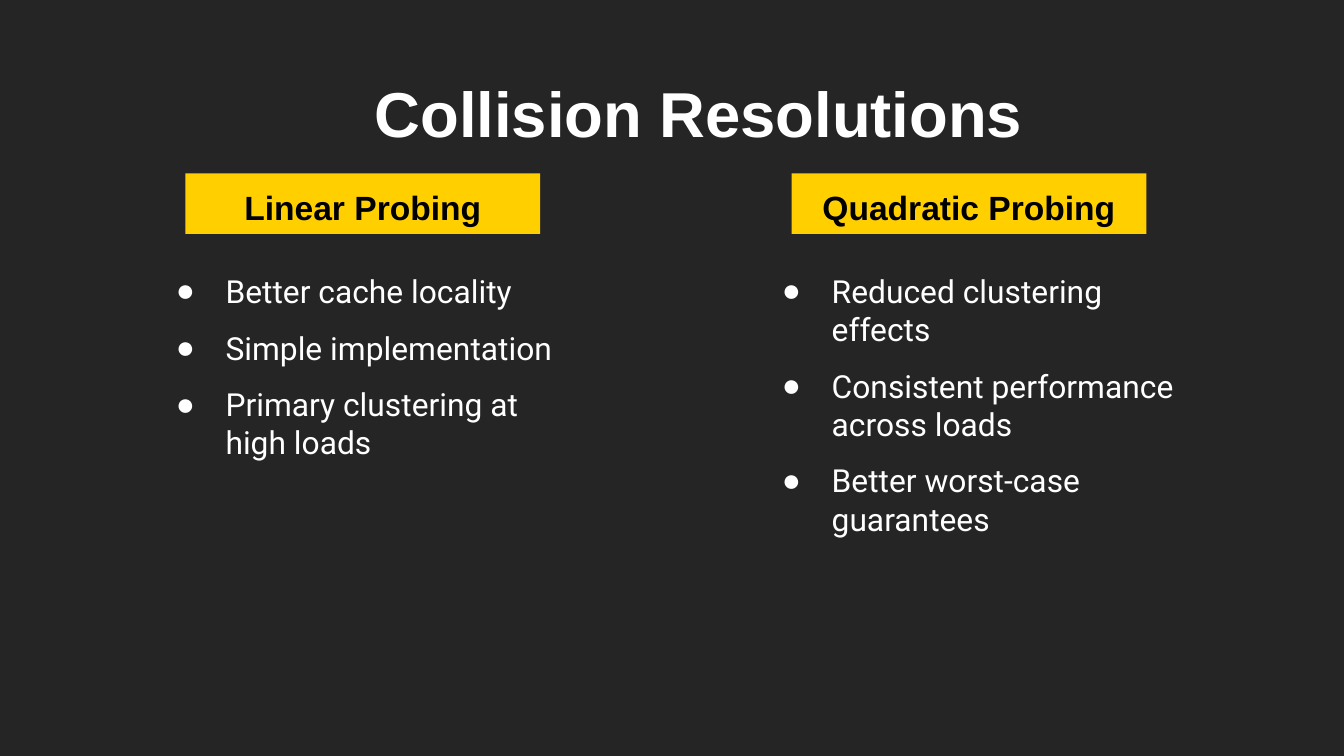
from dataclasses import dataclass

from lxml.etree import SubElement
from pptx import Presentation
from pptx.dml.color import RGBColor
from pptx.enum.shapes import MSO_SHAPE
from pptx.enum.text import MSO_ANCHOR, PP_ALIGN
from pptx.oxml.ns import qn
from pptx.slide import Slide
from pptx.text.text import TextFrame, _Paragraph
from pptx.util import Inches, Pt


@dataclass(frozen=True)
class Theme:
    background: RGBColor = RGBColor(0x25, 0x25, 0x25)
    accent: RGBColor = RGBColor(0xFF, 0xCF, 0x00)
    light: RGBColor = RGBColor(0xFF, 0xFF, 0xFF)
    dark: RGBColor = RGBColor(0, 0, 0)
    heading_font: str = "Arial"
    body_font: str = "Roboto"
    bullet_font: str = "Arial"
    title_size: int = 34
    header_size: int = 18
    body_size: int = 17
    bullet_gap: int = 10


@dataclass(frozen=True)
class Column:
    header: str
    points: tuple[str, ...]


THEME = Theme()
COLUMNS = (
    Column("Linear Probing", (
        "Better cache locality",
        "Simple implementation",
        "Primary clustering at high loads",
    )),
    Column("Quadratic Probing", (
        "Reduced clustering effects",
        "Consistent performance across loads",
        "Better worst-case guarantees",
    )),
)
FIRST_LEFT = 1.08
COLUMN_PITCH = 4.51
HEADER_INSET = 0.3


def prepare_frame(tf: TextFrame) -> None:
    tf.word_wrap = True
    tf.vertical_anchor = MSO_ANCHOR.TOP
    tf.margin_left = tf.margin_right = Inches(0.1)
    tf.margin_top = tf.margin_bottom = Inches(0.1)


def add_run(p: _Paragraph, text: str, font: str, size: int,
            color: RGBColor, bold: bool = False) -> None:
    r = p.add_run()
    r.text = text
    r.font.name = font
    r.font.size = Pt(size)
    r.font.bold = bold
    r.font.color.rgb = color


def add_bullet(p: _Paragraph) -> None:
    pPr = p._p.get_or_add_pPr()
    pPr.set("marL", str(Inches(0.5)))
    pPr.set("indent", str(Inches(-0.37)))
    color = SubElement(pPr, qn("a:buClr"))
    SubElement(color, qn("a:srgbClr"), val=str(THEME.light))
    SubElement(pPr, qn("a:buFont"), typeface=THEME.bullet_font)
    SubElement(pPr, qn("a:buChar"), char="●")


def draw_title(s: Slide, text: str) -> None:
    sp = s.shapes.add_textbox(Inches(0.4), Inches(0.45), Inches(9.6), Inches(0.74))
    prepare_frame(sp.text_frame)
    p = sp.text_frame.paragraphs[0]
    p.alignment = PP_ALIGN.CENTER
    add_run(p, text, THEME.heading_font, THEME.title_size, THEME.light, True)


def draw_header(s: Slide, left: float, text: str) -> None:
    sp = s.shapes.add_shape(MSO_SHAPE.RECTANGLE, Inches(left), Inches(1.29),
                            Inches(2.64), Inches(0.45))
    sp.shadow.inherit = False
    sp.fill.solid()
    sp.fill.fore_color.rgb = THEME.accent
    sp.line.fill.background()
    prepare_frame(sp.text_frame)
    p = sp.text_frame.paragraphs[0]
    p.alignment = PP_ALIGN.CENTER
    add_run(p, text, THEME.heading_font, THEME.header_size, THEME.dark, True)


def draw_points(s: Slide, left: float, points: tuple[str, ...]) -> None:
    sp = s.shapes.add_textbox(Inches(left), Inches(1.92), Inches(3.26), Inches(3.12))
    tf = sp.text_frame
    prepare_frame(tf)
    for i, text in enumerate(points):
        p = tf.add_paragraph() if i else tf.paragraphs[0]
        p.space_before = Pt(THEME.bullet_gap if i else 0)
        add_bullet(p)
        add_run(p, text, THEME.body_font, THEME.body_size, THEME.light)


def main() -> None:
    prs = Presentation()
    prs.slide_width = Inches(10)
    prs.slide_height = Inches(10 * 9 / 16)
    s = prs.slides.add_slide(prs.slide_layouts[6])
    s.background.fill.solid()
    s.background.fill.fore_color.rgb = THEME.background
    draw_title(s, "Collision Resolutions")
    for i, column in enumerate(COLUMNS):
        left = FIRST_LEFT + i * COLUMN_PITCH
        draw_header(s, left + HEADER_INSET, column.header)
        draw_points(s, left, column.points)
    prs.save("out.pptx")


if __name__ == "__main__":
    main()
